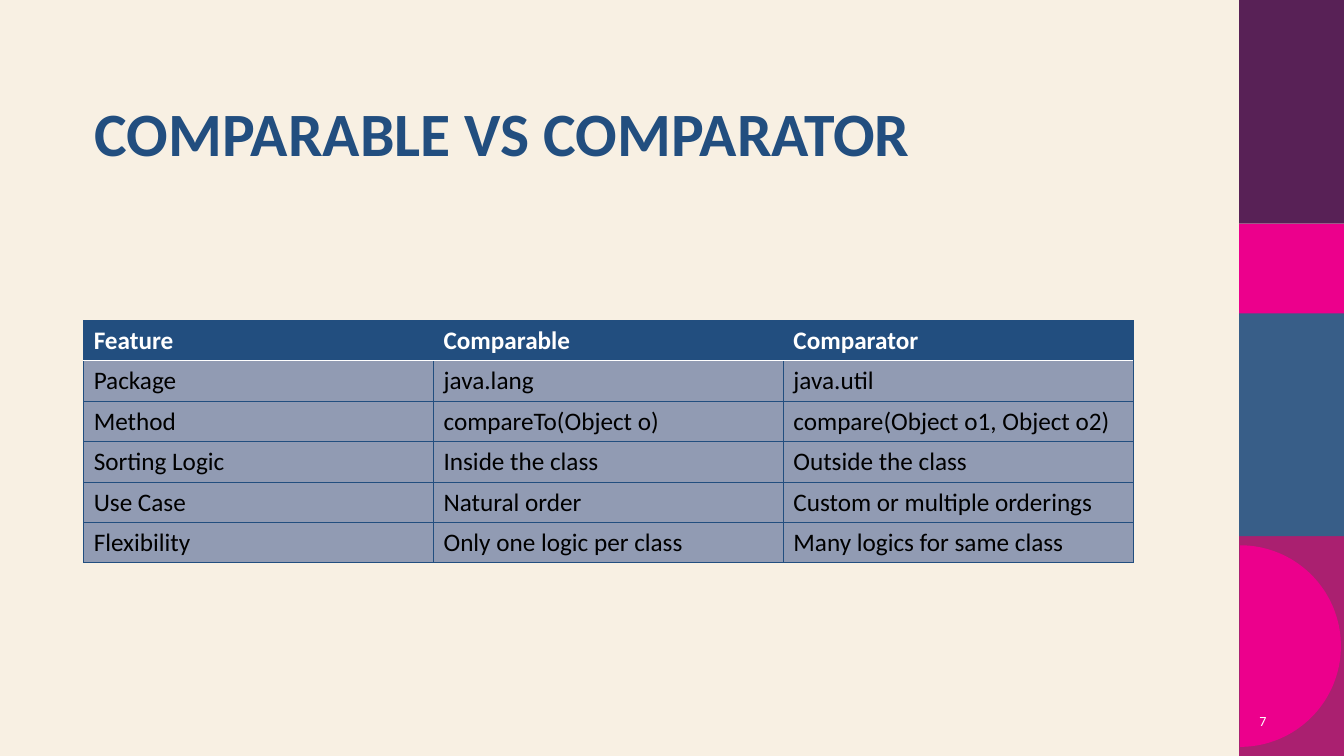
from math import cos, pi, sin

from lxml.etree import SubElement
from pptx import Presentation
from pptx.dml.color import RGBColor
from pptx.enum.shapes import MSO_SHAPE
from pptx.enum.text import MSO_ANCHOR, PP_ALIGN
from pptx.oxml.ns import qn
from pptx.util import Inches, Pt

COLORS = {
    "cream": "F8F0E3", "navy": "224E7F", "row": "919BB3",
    "plum": "582156", "pink": "EC008C", "blue": "385E88",
    "magenta": "AA2070", "white": "FFFFFF", "black": "000000",
}

COMPARISON = [
    ("Feature", "Comparable", "Comparator"),
    ("Package", "java.lang", "java.util"),
    ("Method", "compareTo(Object o)", "compare(Object o1, Object o2)"),
    ("Sorting Logic", "Inside the class", "Outside the class"),
    ("Use Case", "Natural order", "Custom or multiple orderings"),
    ("Flexibility", "Only one logic per class", "Many logics for same class"),
]

SIDE_BLOCKS = [
    ("magenta", 5.28, 2.22), ("blue", 3.1, 2.22),
    ("plum", 0, 2.22), ("pink", 2.22, 0.89),
]


class SlideBuilder:
    font_name = "Calibri"

    def __init__(self, slide):
        self.slide = slide
        slide.background.fill.solid()
        slide.background.fill.fore_color.rgb = self.color("cream")

    def color(self, name):
        return RGBColor.from_string(COLORS[name])

    def paint(self, shape, color):
        shape.shadow.inherit = False
        shape.fill.solid()
        shape.fill.fore_color.rgb = self.color(color)
        shape.line.fill.background()

    def block(self, color, left, top, width, height):
        rectangle = self.slide.shapes.add_shape(
            MSO_SHAPE.RECTANGLE, *map(Inches, (left, top, width, height)))
        self.paint(rectangle, color)

    def half_disc(self, color, left, center, radius, steps=90):
        angles = [pi * step / steps - pi / 2 for step in range(steps + 1)]
        rim = [(Inches(left + radius * cos(angle)),
                Inches(center + radius * sin(angle))) for angle in angles]
        outline = self.slide.shapes.build_freeform(*rim[0])
        outline.add_line_segments(rim[1:], close=True)
        self.paint(outline.convert_to_shape(), color)

    def set_words(self, frame, words, size, color, bold=False, **layout):
        paragraph = frame.paragraphs[0]
        paragraph.text = words
        for name, value in layout.items():
            setattr(paragraph, name, value)
        style = {"name": self.font_name, "size": Pt(size), "bold": bold}
        font = paragraph.runs[0].font
        for name, value in style.items():
            setattr(font, name, value)
        font.color.rgb = self.color(color)

    def text(self, words, left, top, width, height, anchor, **style):
        frame = self.slide.shapes.add_textbox(
            *map(Inches, (left, top, width, height))).text_frame
        frame.word_wrap = True
        frame.vertical_anchor = anchor
        self.set_words(frame, words, **style)

    def border(self, cell, side, color, width):
        line = SubElement(cell._tc.get_or_add_tcPr(), qn(f"a:ln{side}"),
                          w=str(Pt(width)))
        fill = SubElement(line, qn("a:solidFill"))
        SubElement(fill, qn("a:srgbClr"), val=COLORS[color])

    def table(self, rows, left, top, column_width, row_height):
        columns = len(rows[0])
        grid = self.slide.shapes.add_table(
            len(rows), columns, Inches(left), Inches(top),
            Inches(column_width * columns), Inches(row_height * len(rows))).table
        grid.horz_banding = False
        for row_index, row in enumerate(rows):
            header = row_index == 0
            for column_index, words in enumerate(row):
                cell = grid.cell(row_index, column_index)
                cell.vertical_anchor = MSO_ANCHOR.MIDDLE
                for side in "LRTB":
                    under_header = (row_index, side) in ((0, "B"), (1, "T"))
                    self.border(cell, side, *(("white", 1) if under_header
                                              else ("navy", 0.5)))
                cell.fill.solid()
                cell.fill.fore_color.rgb = self.color("navy" if header else "row")
                self.set_words(cell.text_frame, words, 18,
                               "white" if header else "black", header)


def main():
    deck = Presentation()
    deck.slide_width, deck.slide_height = Inches(13.33), Inches(7.5)
    builder = SlideBuilder(deck.slides.add_slide(deck.slide_layouts[6]))
    for color, top, height in SIDE_BLOCKS:
        builder.block(color, 12.29, top, 1.04, height)
    builder.half_disc("pink", 12.3, 6.41, 1)
    builder.text("COMPARABLE VS COMPARATOR", 0.84, 0.98, 10.27, 1.49,
                 MSO_ANCHOR.TOP, size=44, color="navy", bold=True,
                 line_spacing=0.9)
    builder.text("7", 12.16, 6.95, 0.5, 0.4, MSO_ANCHOR.MIDDLE,
                 size=10, color="white", alignment=PP_ALIGN.RIGHT)
    builder.table(COMPARISON, 0.83, 3.18, 3.47, 0.4)
    deck.save("out.pptx")


if __name__ == "__main__":
    main()
